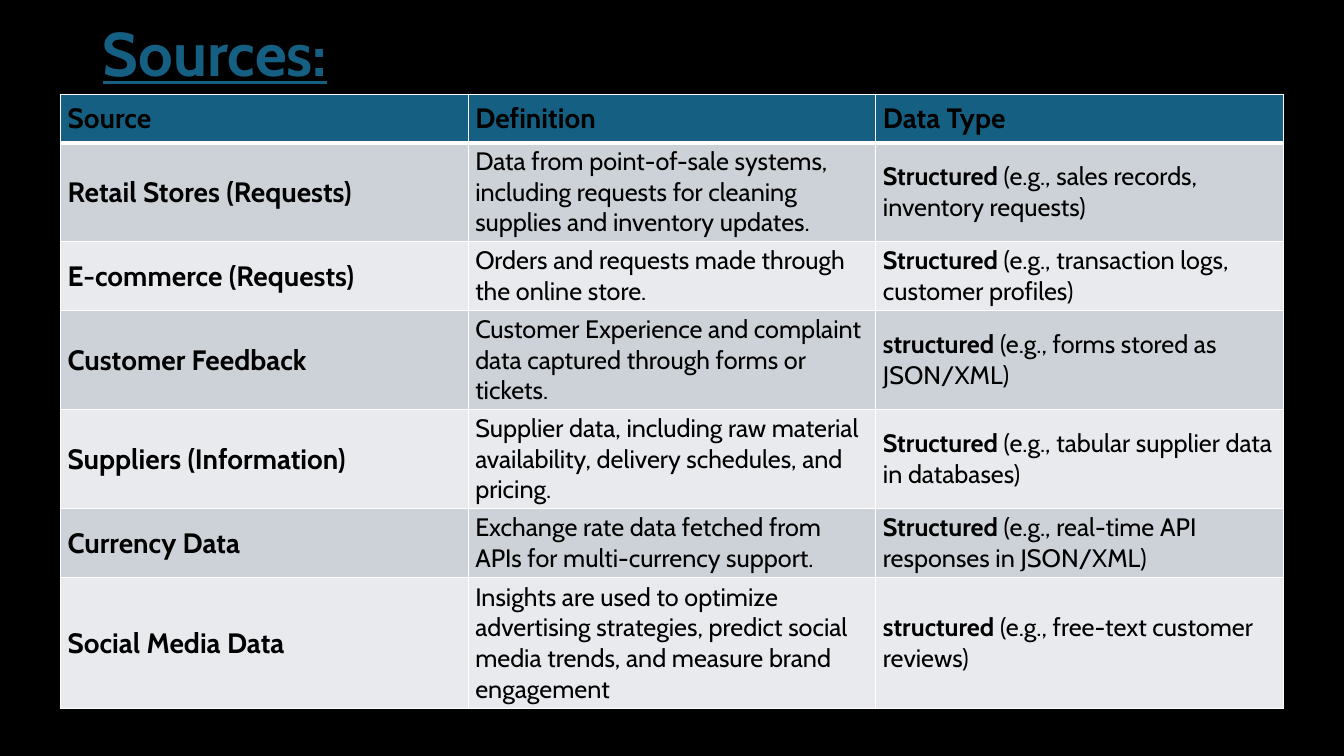
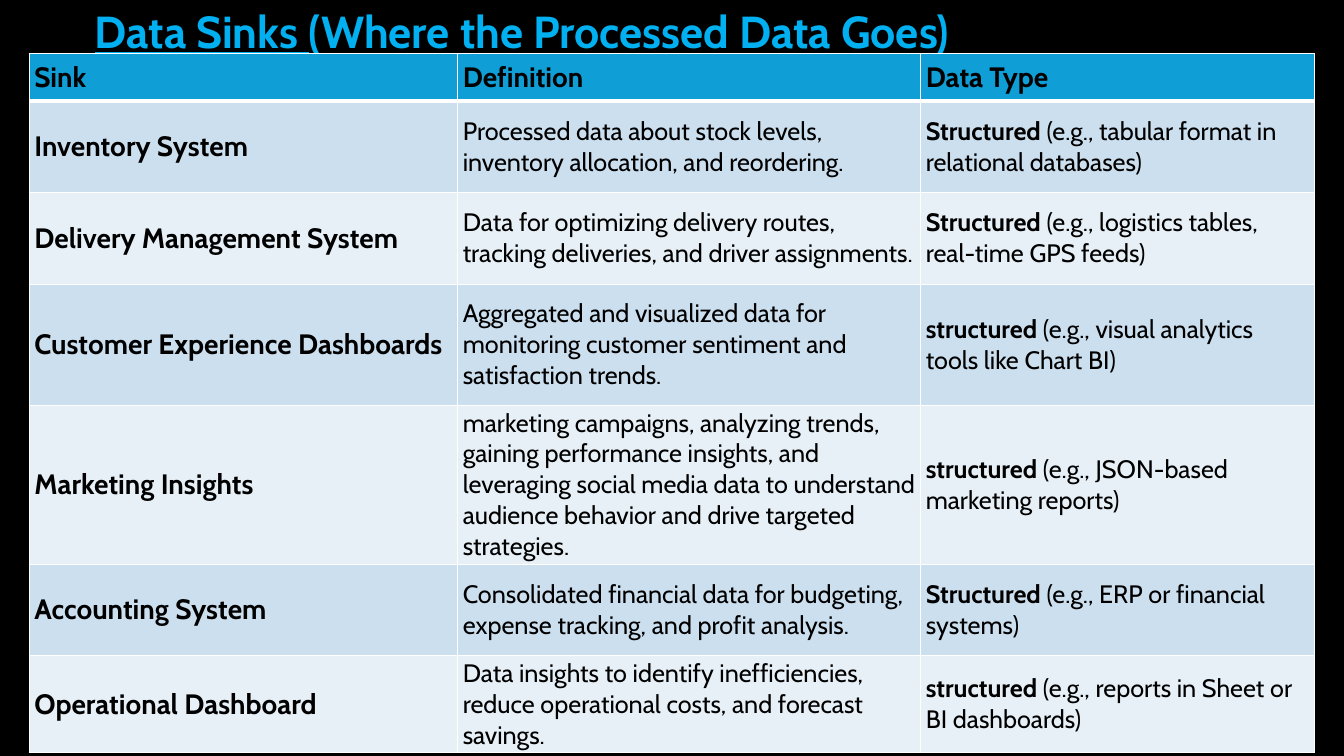
from lxml import etree
from pptx import Presentation
from pptx.dml.color import RGBColor
from pptx.enum.text import MSO_ANCHOR, MSO_AUTO_SIZE, PP_ALIGN
from pptx.oxml.ns import qn
from pptx.util import Inches, Pt

MIDDLE = MSO_ANCHOR.MIDDLE
NO_FIT = MSO_AUTO_SIZE.NONE
LEFT = PP_ALIGN.LEFT
TITLE_ONLY = 5

FONT = "Cabin"
COLOURS = {"backdrop": "000000", "ink": "000000", "rule": "FFFFFF"}
TEAL = {"title": "156082", "header": "156082", "odd": "CCD2D8", "even": "E8EAED"}
SKY = {"title": "00B0F0", "header": "0F9ED5", "odd": "CCDFEF", "even": "E7F0F7"}
LABEL = {"size": Pt(20), "bold": True}
BODY = {"size": Pt(18), "bold": False}
STRONG = {"size": Pt(18), "bold": True}
THIN, THICK = Pt(1), Pt(3)

SOURCES = [
    ("Retail Stores (Requests)",
     "Data from point-of-sale systems, including requests for cleaning supplies and inventory updates.",
     "Structured", "sales records, inventory requests"),
    ("E-commerce (Requests)",
     "Orders and requests made through the online store.",
     "Structured", "transaction logs, customer profiles"),
    ("Customer Feedback",
     "Customer Experience and complaint data captured through forms or tickets.",
     "structured", "forms stored as JSON/XML"),
    ("Suppliers (Information)",
     "Supplier data, including raw material availability, delivery schedules, and pricing.",
     "Structured", "tabular supplier data in databases"),
    ("Currency Data",
     "Exchange rate data fetched from APIs for multi-currency support.",
     "Structured", "real-time API responses in JSON/XML"),
    ("Social Media Data",
     "Insights are used to optimize advertising strategies, predict social media trends, "
     "and measure brand engagement",
     "structured", "free-text customer reviews"),
]
SINKS = [
    ("Inventory System",
     "Processed data about stock levels, inventory allocation, and reordering.",
     "Structured", "tabular format in relational databases"),
    ("Delivery Management System",
     "Data for optimizing delivery routes, tracking deliveries, and driver assignments.",
     "Structured", "logistics tables, real-time GPS feeds"),
    ("Customer Experience Dashboards",
     "Aggregated and visualized data for monitoring customer sentiment and satisfaction trends.",
     "structured", "visual analytics tools like Chart BI"),
    ("Marketing Insights",
     "marketing campaigns, analyzing trends, gaining performance insights, and leveraging "
     "social media data to understand audience behavior and drive targeted strategies.",
     "structured", "JSON-based marketing reports"),
    ("Accounting System",
     "Consolidated financial data for budgeting, expense tracking, and profit analysis.",
     "Structured", "ERP or financial systems"),
    ("Operational Dashboard",
     "Data insights to identify inefficiencies, reduce operational costs, and forecast savings.",
     "structured", "reports in Sheet or BI dashboards"),
]


class Deck:
    """Holds the style and the current slide; lengths are percentages of the slide."""

    def __init__(self):
        self.prs = Presentation()
        self.prs.slide_width, self.prs.slide_height = Inches(13.33), Inches(7.5)

    def across(self, share):
        return round(self.prs.slide_width * share / 100)

    def down(self, share):
        return round(self.prs.slide_height * share / 100)

    def new_slide(self, theme):
        self.theme = theme
        self.slide = self.prs.slides.add_slide(self.prs.slide_layouts[TITLE_ONLY])
        fill = self.slide.background.fill
        fill.solid()
        fill.fore_color.rgb = RGBColor.from_string(COLOURS["backdrop"])

    def add_runs(self, paragraph, pieces, colour):
        """Add (text, format) pieces to a paragraph as runs."""
        for text, style in pieces:
            run = paragraph.add_run()
            run.text = text
            run.font.name = FONT
            run.font.color.rgb = RGBColor.from_string(colour)
            for attribute, value in style.items():
                setattr(run.font, attribute, value)

    def title(self, left, top, pieces):
        heading = self.slide.shapes.title
        place = {"left": self.across(left), "top": self.down(top),
                 "width": self.across(86.25), "height": self.down(10.13)}
        for attribute, value in place.items():
            setattr(heading, attribute, value)
        frame = heading.text_frame
        for attribute, value in {"word_wrap": True, "auto_size": NO_FIT,
                                 "vertical_anchor": MIDDLE}.items():
            setattr(frame, attribute, value)
        paragraph = frame.paragraphs[0]
        paragraph.alignment, paragraph.line_spacing = LEFT, 0.9
        self.add_runs(paragraph, pieces, self.theme["title"])

    def borders(self, cell, top, bottom):
        properties = cell._tc.get_or_add_tcPr()
        edges = {"a:lnL": THIN, "a:lnR": THIN, "a:lnT": top, "a:lnB": bottom}
        for position, (tag, width) in enumerate(edges.items()):
            line = etree.Element(qn(tag), w=str(int(width)))
            fill = etree.SubElement(line, qn("a:solidFill"))
            etree.SubElement(fill, qn("a:srgbClr"), val=COLOURS["rule"])
            properties.insert(position, line)

    def cell(self, cell, pieces, fill, inset, top, bottom):
        side, edge = self.across(inset[0]), self.down(inset[1])
        for attribute, value in {"margin_left": side, "margin_right": side,
                                 "margin_top": edge, "margin_bottom": edge,
                                 "vertical_anchor": MIDDLE}.items():
            setattr(cell, attribute, value)
        cell.fill.solid()
        cell.fill.fore_color.rgb = RGBColor.from_string(fill)
        self.borders(cell, top, bottom)
        self.add_runs(cell.text_frame.paragraphs[0], pieces, COLOURS["ink"])

    def table(self, left, top, widths, heights, inset, subject, entries):
        """Draw a header row and one row per (name, definition, kind, example)."""
        rows = [[[(text, LABEL)] for text in (subject, "Definition", "Data Type")]]
        for name, definition, kind, example in entries:
            rows.append([[(name, LABEL)], [(definition, BODY)],
                         [(kind, STRONG), (f" (e.g., {example})", BODY)]])
        grid = self.slide.shapes.add_table(
            len(rows), len(widths), self.across(left), self.down(top),
            self.across(sum(widths)), self.down(sum(heights))).table
        for column, width in zip(grid.columns, widths):
            column.width = self.across(width)
        for row, height in zip(grid.rows, heights):
            row.height = self.down(height)
        for index, row in enumerate(rows):
            band = "header" if index == 0 else "odd" if index % 2 else "even"
            above = THICK if index == 1 else THIN
            below = THICK if index == 0 else THIN
            for column, pieces in enumerate(row):
                self.cell(grid.cell(index, column), pieces, self.theme[band],
                          inset, above, below)


def main():
    deck = Deck()

    deck.new_slide(TEAL)
    deck.title(6.9, 2.4, [("Sources:", {"size": Pt(44), "bold": True, "underline": True})])
    two_lines, three_lines, four_lines = 9.13, 13.1, 17.33
    deck.table(4.5, 12.53, [91 / 3] * 3,
               [6.35, three_lines, two_lines, three_lines, three_lines, two_lines, four_lines],
               (0.53, 0.4), "Source", SOURCES)

    deck.new_slide(SKY)
    heading = {"size": Pt(32), "bold": True}
    deck.title(6.3, -0.53, [("Data Sinks ", {**heading, "underline": True}),
                            ("(Where the Processed Data Goes)", heading)])
    regular = 12.13
    deck.table(2.18, 7.07, [31.88, 34.45, 29.33],
               [6.27, regular, regular, 16, 21.03, regular, 12.83],
               (0.38, 0.27), "Sink", SINKS)

    deck.prs.save("out.pptx")


if __name__ == "__main__":
    main()
